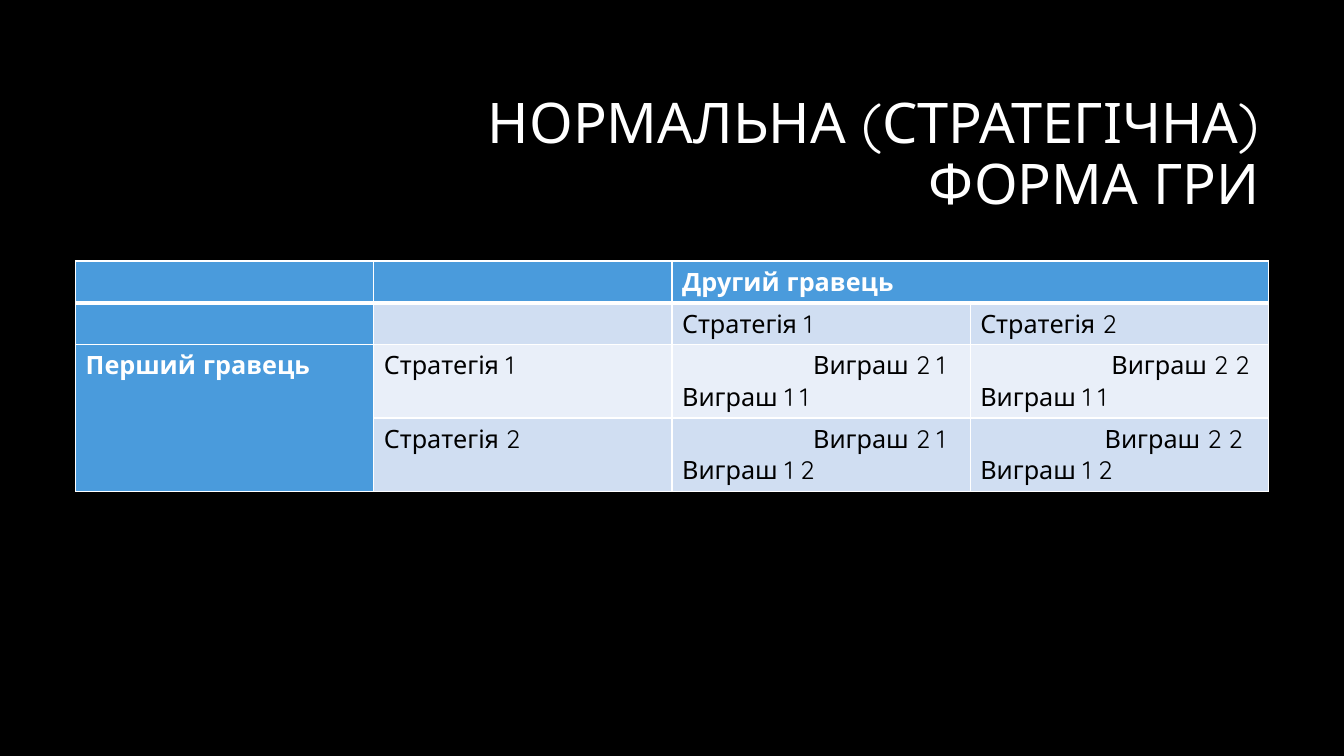
from dataclasses import dataclass

from lxml import etree
from pptx import Presentation
from pptx import util as u
from pptx.dml import color
from pptx.enum import text
from pptx.oxml import ns


@dataclass(frozen=True)
class Theme:
    font: str = "Quicksand"
    back: str = "000000"
    light: str = "FFFFFF"
    dark: str = "000000"
    head: str = "4A9BDC"
    bands: tuple = ("D0DEF2", "E9EFF9")
    big: int = 40
    base: int = 18
    thin: int = 1
    thick: int = 3


class Deck:
    """Holds the theme and the current slide; lengths are percent of the slide."""

    def __init__(self, theme):
        self.theme = theme
        self.show = Presentation()
        self.show.slide_width = u.Inches(13.33)
        self.show.slide_height = u.Inches(7.5)
        self.slide = self.show.slides.add_slide(self.show.slide_layouts[5])
        self.paint(self.slide.background.fill, theme.back)

    def across(self, share):
        return round(self.show.slide_width * share / 100)

    def down(self, share):
        return round(self.show.slide_height * share / 100)

    def paint(self, fill, tone):
        fill.solid()
        fill.fore_color.rgb = color.RGBColor.from_string(tone)

    def add_run(self, para, words, size, tone, bold=False):
        run = para.add_run()
        run.text = words
        run.font.name, run.font.size, run.font.bold = self.theme.font, u.Pt(size), bold
        run.font.color.rgb = color.RGBColor.from_string(tone)

    def title(self, words, left, top, wide, high):
        box = self.slide.shapes.title
        box.left, box.top = self.across(left), self.down(top)
        box.width, box.height = self.across(wide), self.down(high)
        frame = box.text_frame
        frame.word_wrap = True
        frame.auto_size = text.MSO_AUTO_SIZE.NONE
        frame.vertical_anchor = text.MSO_ANCHOR.MIDDLE
        para = frame.paragraphs[0]
        para.alignment = text.PP_ALIGN.RIGHT
        para.line_spacing = 0.9
        self.add_run(para, words, self.theme.big, self.theme.light)

    def border(self, cell, widths):
        props = cell._tc.get_or_add_tcPr()
        for side, width in widths.items():
            line = etree.SubElement(props, ns.qn(f"a:ln{side}"), w=str(u.Pt(width)))
            fill = etree.SubElement(line, ns.qn("a:solidFill"))
            etree.SubElement(fill, ns.qn("a:srgbClr"), val=self.theme.light)

    def cell(self, cell, lines, row, col):
        look = self.theme
        head = row == 0 or col == 0
        edges = dict.fromkeys("LRTB", look.thin)
        if row < 2:
            edges["B" if row == 0 else "T"] = look.thick
        self.border(cell, edges)
        self.paint(cell.fill, look.head if head else look.bands[(row - 1) % 2])
        for i, (words, inset) in enumerate(lines):
            frame = cell.text_frame
            para = frame.add_paragraph() if i else frame.paragraphs[0]
            if inset:
                para._p.get_or_add_pPr().set("marL", str(self.across(inset)))
            self.add_run(para, words, look.base, look.light if head else look.dark, head)

    def table(self, rows, heights, left, top, wide, merges):
        frame = self.slide.shapes.add_table(
            len(rows), len(rows[0]), self.across(left), self.down(top),
            self.across(wide), self.down(sum(heights)))
        grid = frame.table
        grid.first_row = grid.horz_banding = False
        for col in grid.columns:
            col.width = self.across(wide / len(rows[0]))
        for r, (row, high) in enumerate(zip(rows, heights)):
            grid.rows[r].height = self.down(high)
            for c, lines in enumerate(row):
                self.cell(grid.cell(r, c), lines, r, c)
        for start, end in merges:
            grid.cell(*start).merge(grid.cell(*end))


def label(words):
    return [(words, 0)]


def payoff(second, first, inset=9.75):
    return [(f"Виграш {second}", inset), (f"Виграш {first}", 0)]


def main():
    deck = Deck(Theme())

    # Heading
    deck.title("НОРМАЛЬНА (СТРАТЕГІЧНА) ФОРМА ГРИ", 23.78, 11.2, 70.67, 18.8)

    # Payoff matrix
    one, two = label("Стратегія 1"), label("Стратегія 2")
    rows = [
        [[], [], label("Другий гравець"), []],
        [[], [], one, two],
        [label("Перший гравець"), one, payoff("2 1", "1 1"), payoff("2 2", "1 1")],
        [[], two, payoff("2 1", "1 2"), payoff("2 2", "1 2", 9.25)],
    ]
    deck.table(rows, [5.53, 5.53, 9.7, 9.7], 5.63, 34.53, 88.75,
               merges=[((0, 2), (0, 3)), ((2, 0), (3, 0))])

    deck.show.save("out.pptx")


if __name__ == "__main__":
    main()
